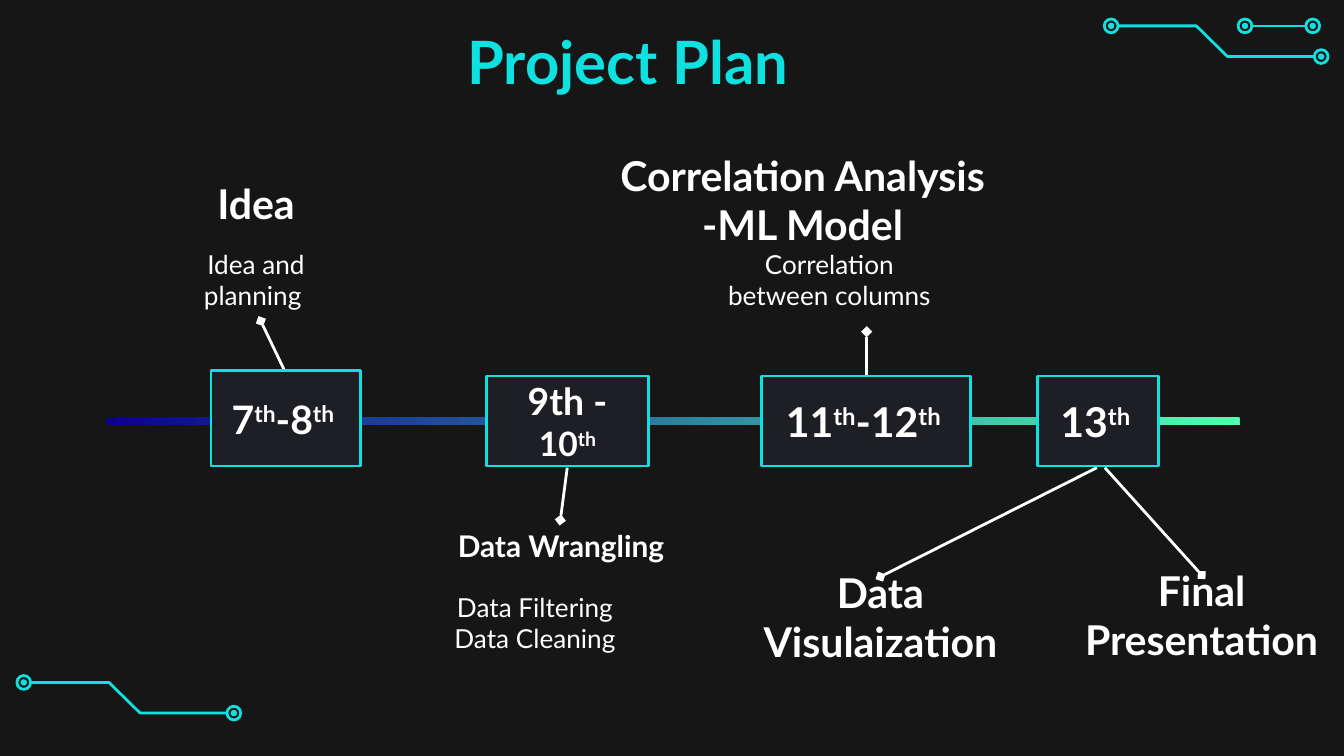
from lxml.etree import SubElement
from pptx import Presentation
from pptx.dml.color import RGBColor
from pptx.enum.shapes import MSO_CONNECTOR, MSO_SHAPE
from pptx.enum.text import MSO_ANCHOR, MSO_AUTO_SIZE, PP_ALIGN
from pptx.oxml.ns import qn
from pptx.util import Cm, Pt

BACKGROUND = RGBColor(0x16, 0x16, 0x16)
PANEL = RGBColor(0x1E, 0x1F, 0x24)
CYAN = RGBColor(0x0F, 0xE0, 0xE0)
WHITE = RGBColor(0xFF, 0xFF, 0xFF)
NAVY = RGBColor(0x0D, 0x00, 0x8E)
MINT = RGBColor(0x50, 0xFF, 0xB0)

FONT = "Lato"
STROKE = Pt(1.5)

DATES = [
    ((3.99, 7.01, 2.82, 1.8), [("7^th^-8^th ", 21)]),
    ((9.19, 7.11, 3.07, 1.7), [("9th -", 20), ("10^th", 18)]),
    ((14.4, 7.11, 3.94, 1.7), [("11^th^-12^th ", 22)]),
    ((19.61, 7.11, 2.29, 1.7), [("13^th ", 22)]),
]
HEADINGS = [
    ((2.87, 3.35, 3.94, 0.97), [("Idea", 22)]),
    ((10.74, 2.92, 8.86, 1.7), [("Correlation Analysis -ML Model", 22)]),
    ((8.08, 9.83, 5.05, 0.97), [("Data Wrangling", 16)]),
    ((13.34, 10.9, 6.6, 1.5), [("Data Visulaization", 22)]),
    ((19.41, 10.87, 6.6, 1.5), [("Final", 22), ("Presentation", 22)]),
]
DETAILS = [
    ((2.87, 4.32, 3.94, 1.93), [("Idea and planning ", 14)]),
    ((13.34, 4.32, 4.67, 1.93), [("Correlation between columns", 14)]),
    ((8.08, 10.8, 4.19, 1.93), [("Data Filtering ", 14), ("Data Cleaning ", 14)]),
]
POINTERS = [
    (5.38, 7.01, 4.93, 6.07),
    (10.72, 8.84, 10.59, 9.83),
    (16.38, 7.42, 16.38, 6.27),
    (20.73, 8.84, 16.64, 10.9),
    (20.88, 8.84, 22.71, 10.87),
]


def lengths(values):
    return [Cm(value) for value in values]


def write_text(frame, paragraphs, color=WHITE, bold=True):
    frame.word_wrap = True
    frame.auto_size = MSO_AUTO_SIZE.NONE
    frame.vertical_anchor = MSO_ANCHOR.MIDDLE
    frame.margin_left = frame.margin_right = Cm(0.25)
    frame.margin_top = frame.margin_bottom = Cm(0.25)
    for index, (text, size) in enumerate(paragraphs):
        paragraph = frame.add_paragraph() if index else frame.paragraphs[0]
        paragraph.alignment = PP_ALIGN.CENTER
        paragraph.font.name = FONT
        paragraph.font.size = Pt(size)
        paragraph.font.bold = bold
        paragraph.font.color.rgb = color
        for position, part in enumerate(text.split("^")):
            run = paragraph.add_run()
            run.text = part
            if position % 2:
                run._r.get_or_add_rPr().set("baseline", "30000")


def add_label(slide, box, paragraphs, bold):
    label = slide.shapes.add_textbox(*lengths(box))
    write_text(label.text_frame, paragraphs, bold=bold)


def add_date(slide, box, paragraphs):
    date = slide.shapes.add_shape(MSO_SHAPE.RECTANGLE, *lengths(box))
    date.shadow.inherit = False
    date.fill.solid()
    date.fill.fore_color.rgb = PANEL
    date.line.color.rgb = CYAN
    date.line.width = STROKE
    write_text(date.text_frame, paragraphs)


def add_line(slide, ends, color, diamond=False):
    line = slide.shapes.add_connector(MSO_CONNECTOR.STRAIGHT, *lengths(ends))
    line.line.color.rgb = color
    line.line.width = STROKE
    if diamond:
        SubElement(line.line._get_or_add_ln(), qn("a:tailEnd"), type="diamond")
    SubElement(line._element.spPr, qn("a:effectLst"))


def add_timeline(slide):
    bar = slide.shapes.add_shape(MSO_SHAPE.RECTANGLE, *lengths((2.01, 7.9, 21.41, 0.13)))
    bar.shadow.inherit = False
    bar.line.fill.background()
    bar.fill.gradient()
    bar.fill.gradient_angle = 345
    for stop, color, position in zip(bar.fill.gradient_stops, (NAVY, MINT), (0, 1)):
        stop.color.rgb = color
        stop.position = position


def add_node(slide, x, y):
    for diameter, filled in ((0.26, False), (0.12, True)):
        box = (x - diameter / 2, y - diameter / 2, diameter, diameter)
        circle = slide.shapes.add_shape(MSO_SHAPE.OVAL, *lengths(box))
        circle.shadow.inherit = False
        if filled:
            circle.fill.solid()
            circle.fill.fore_color.rgb = CYAN
            circle.line.fill.background()
        else:
            circle.fill.background()
            circle.line.color.rgb = CYAN
            circle.line.width = STROKE


def add_circuit(slide, x, y):
    drop = 0.58
    start, *bends = [
        (Cm(x + dx), Cm(y + dy))
        for dx, dy in ((0.13, 0), (1.61, 0), (2.2, drop), (3.84, drop))
    ]
    builder = slide.shapes.build_freeform(*start)
    builder.add_line_segments(bends, close=False)
    trace = builder.convert_to_shape()
    trace.shadow.inherit = False
    trace.fill.background()
    trace.line.color.rgb = CYAN
    trace.line.width = STROKE
    add_node(slide, x, y)
    add_node(slide, x + 3.97, y + drop)


def add_title(slide):
    title = slide.shapes.title
    title.left, title.top, title.width, title.height = lengths((1.3, 0.51, 21.41, 1.27))
    write_text(title.text_frame, [("Project Plan ", 32)], CYAN)


def main():
    presentation = Presentation()
    presentation.slide_width, presentation.slide_height = Cm(25.4), Cm(14.29)
    slide = presentation.slides.add_slide(presentation.slide_layouts[5])
    slide.background.fill.solid()
    slide.background.fill.fore_color.rgb = BACKGROUND

    add_circuit(slide, 21, 0.49)
    add_circuit(slide, 0.45, 12.9)
    add_line(slide, (23.66, 0.49, 24.68, 0.49), CYAN)
    for x in (23.53, 24.81):
        add_node(slide, x, 0.49)

    add_title(slide)
    add_timeline(slide)
    for box, paragraphs in HEADINGS:
        add_label(slide, box, paragraphs, bold=True)
    for box, paragraphs in DETAILS:
        add_label(slide, box, paragraphs, bold=False)
    for ends in POINTERS:
        add_line(slide, ends, WHITE, diamond=True)
    for box, paragraphs in DATES:
        add_date(slide, box, paragraphs)
    presentation.save("out.pptx")


if __name__ == "__main__":
    main()
